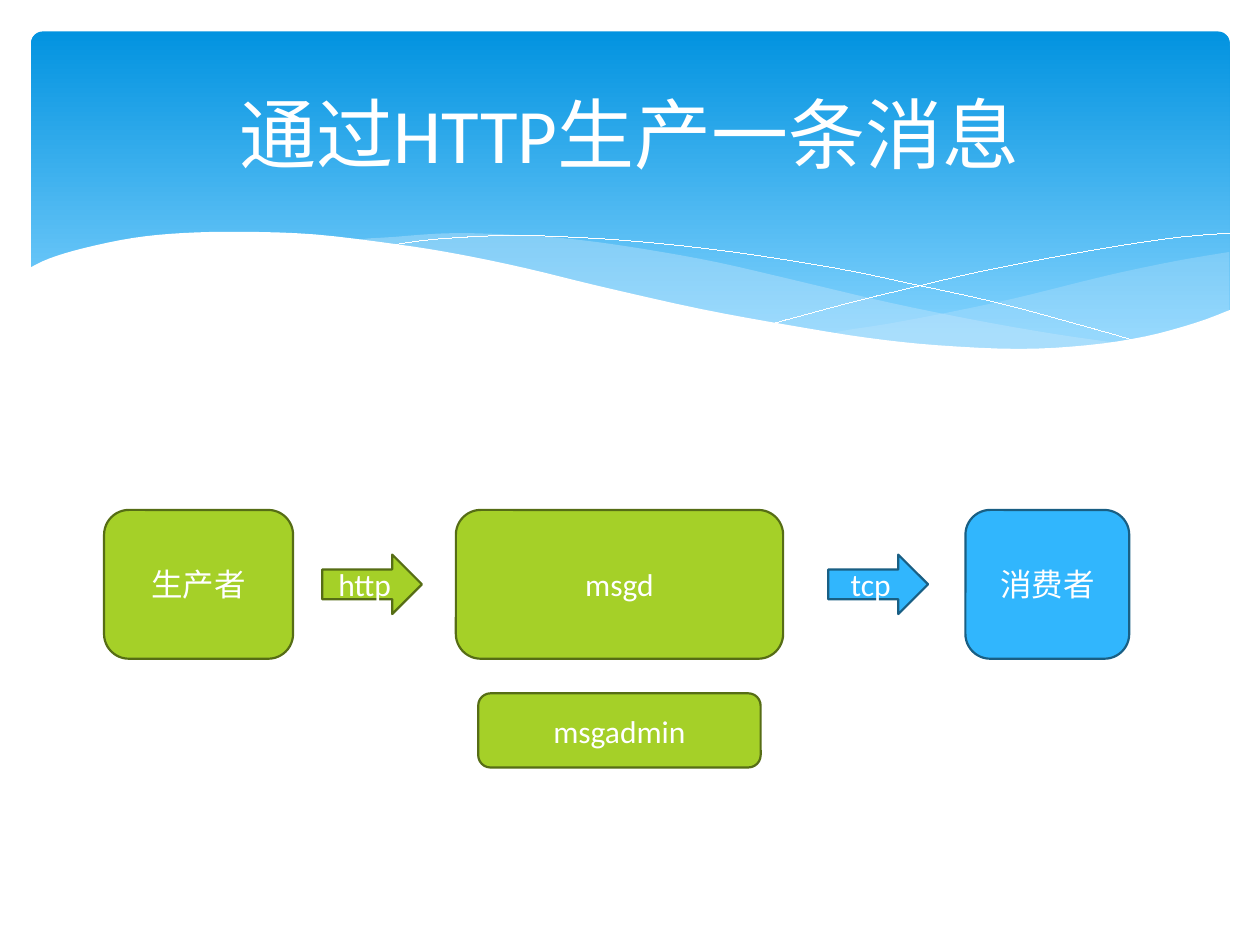
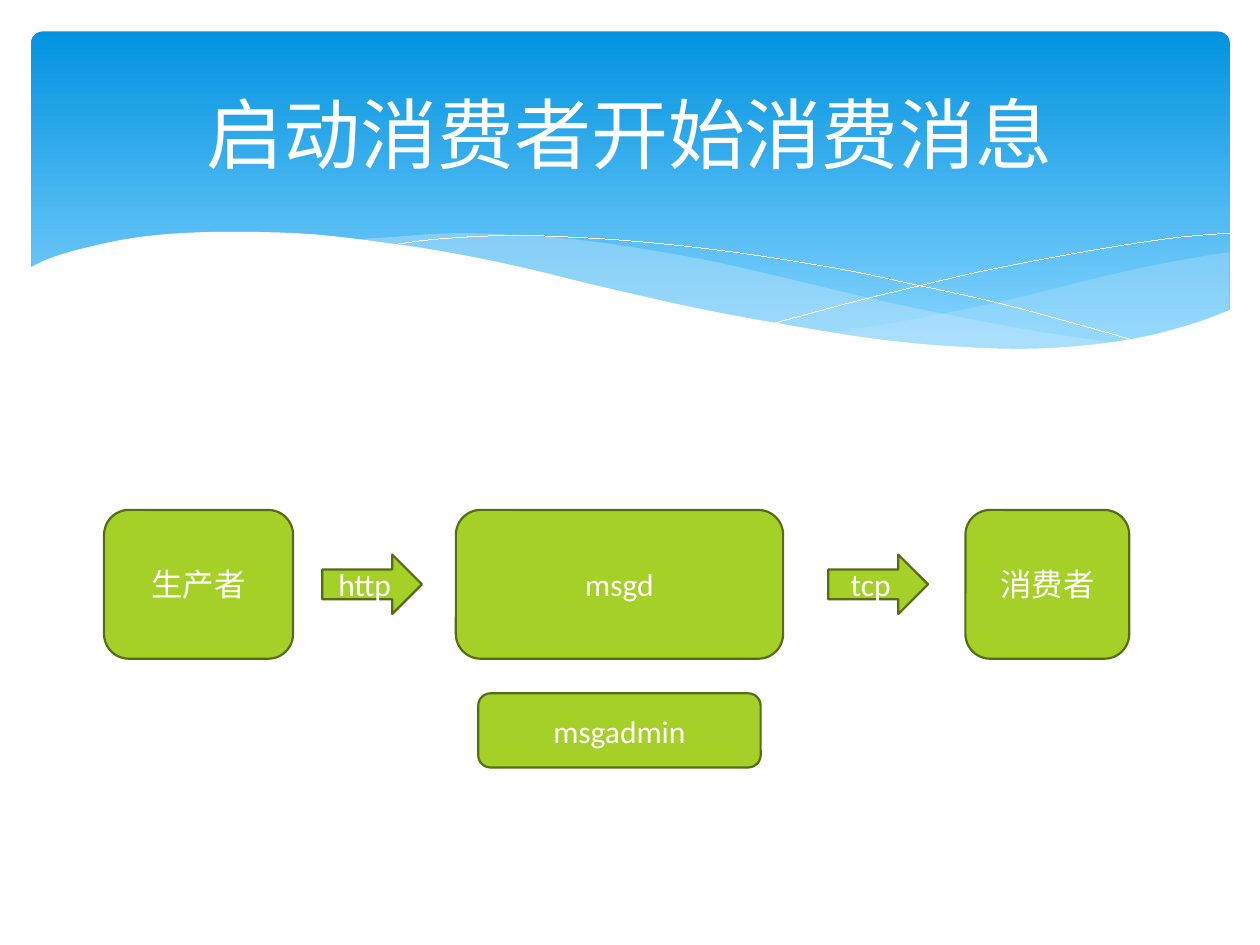
"""Builds two slides on how a message moves from producer to consumer."""
from lxml import etree
from pptx import Presentation
from pptx import util as u
from pptx.dml.color import RGBColor
from pptx.enum import shapes, text
from pptx.oxml.ns import qn

HUES = {
    "white": "FFFFFF",
    "deep": "0293E0",
    "pale": "83D3FE",
    "mist": "C6E7FC",
    "green": "A5D028",
    "moss": "566D15",
    "blue": "31B6FD",
    "navy": "195F84",
}
SKINS = {"on": ("green", "moss"), "off": ("blue", "navy")}
FONT = "Calibri"
ROUND = shapes.MSO_SHAPE.ROUNDED_RECTANGLE
ARROW = shapes.MSO_SHAPE.RIGHT_ARROW

BAND = (17.8, 18, 684.9, 194.4)
TITLE = (36, 26.6, 648, 98.6)
FLOW = (59.5, 291.4, 585.9, 147)

RIGHT = [
    (684.7, 126), (655, 131), (623.5, 137.5), (602, 142.6), (561.6, 152.6),
    (524, 160.6), (490, 167), (458, 172.8), (489.6, 177), (518.4, 180),
    (544, 181.4), (568, 182), (597, 180.7), (622, 177.8), (645, 172.8),
    (665, 167), (684.7, 159.8),
]
MIDDLE = [
    (625, 178.6), (584.6, 172.8), (540, 165), (490, 154.8), (435, 141.8),
    (391.7, 131.8), (352, 124.6), (316.8, 119.5), (284.4, 116.6),
    (242, 115.2), (207.4, 117.4), (188, 119.5), (228, 125.3), (273, 134),
    (305.3, 141.8), (363.6, 154.8), (414.7, 165.6), (460.8, 173.5),
    (501.8, 179), (538.6, 181.4), (571, 182), (599, 181.4), (625, 178.6),
]
FALL = [
    (204.5, 122.4), (229.7, 118.8), (270.7, 116.6), (306, 117.4),
    (349, 120.2), (401, 126), (460.8, 135.4), (505.4, 144.7),
    (554.4, 155.5), (607.7, 170), (635, 177.8),
]
RISE = [
    (423.4, 167), (465.8, 155.5), (500.4, 147), (540.7, 137.5),
    (584, 129), (626.4, 121.7), (657.4, 117.4), (684.7, 115.2),
]
FRONT = [
    (685.4, 159), (666, 166.3), (637, 174.2), (603.4, 179.3),
    (564.5, 181.4), (517.7, 179.3), (477.4, 175), (432.7, 167.8),
    (381.6, 158.4), (324, 145.4), (283, 135.4), (244.8, 127.4),
    (209.5, 121.7), (162, 116), (121, 114.5), (87, 115.2), (58.3, 118),
    (30.2, 123.8), (10.8, 129.6), (-1.4, 135.4),
]


def tint(name):
    """Return the colour with the given name."""
    return RGBColor.from_string(HUES[name])


def place(box, x, y, w, h):
    """Return a part's lengths, offset from the corner of its box."""
    return [u.Pt(v) for v in (box[0] + x, box[1] + y, w, h)]


def write(shape, words, size):
    """Put centred white text in a shape."""
    frame = shape.text_frame
    frame.word_wrap = True
    frame.vertical_anchor = text.MSO_ANCHOR.MIDDLE
    para = frame.paragraphs[0]
    para.text = words
    para.alignment = text.PP_ALIGN.CENTER
    for run in para.runs:
        run.font.name = FONT
        run.font.size = u.Pt(size)
        run.font.color.rgb = tint("white")


def smooth(knots, steps=4):
    """Return points on a Catmull-Rom curve through the knots."""
    ends = [knots[0], *knots, knots[-1]]
    dots = [knots[0]]
    for a, b, c, d in zip(ends, ends[1:], ends[2:], ends[3:]):
        for step in range(1, steps + 1):
            t = step / steps
            dots.append(tuple(
                (2 * q + (r - p) * t + (2 * p - 5 * q + 4 * r - s) * t ** 2
                 + (3 * q - p - 3 * r + s) * t ** 3) / 2
                for p, q, r, s in zip(a, b, c, d)))
    return dots


def trace(slide, box, dots, close):
    """Draw an outline through dots measured from the box corner."""
    spots = [(u.Pt(box[0] + x), u.Pt(box[1] + y)) for x, y in dots]
    pen = slide.shapes.build_freeform(*spots[0], scale=1.0)
    pen.add_line_segments(spots[1:], close=close)
    shape = pen.convert_to_shape()
    shape.shadow.inherit = False
    return shape


def wave(slide, box, dots, hue, alpha=100):
    """Draw a filled wave without an outline."""
    shape = trace(slide, box, dots, True)
    shape.fill.solid()
    shape.fill.fore_color.rgb = tint(hue)
    shape.line.fill.background()
    if alpha < 100:
        color = shape.fill._xPr.find(".//" + qn("a:srgbClr"))
        etree.SubElement(color, qn("a:alpha"), val=str(alpha * 1000))


def thread(slide, box, knots):
    """Draw a white hairline curve."""
    shape = trace(slide, box, smooth(knots), False)
    shape.fill.background()
    shape.line.color.rgb = tint("white")
    shape.line.width = u.Pt(0.01)


def band(slide, box):
    """Draw the blue header band with its waves."""
    panel = slide.shapes.add_shape(ROUND, *place(box, 0, 0, *box[2:]))
    panel.adjustments[0] = 0.034
    panel.shadow.inherit = False
    panel.line.fill.background()
    panel.fill.gradient()
    panel.fill.gradient_angle = 270
    stops = zip(panel.fill.gradient_stops, ("deep", "pale"), (0, 0.9))
    for stop, hue, spot in stops:
        stop.color.rgb = tint(hue)
        stop.position = spot
    wave(slide, box, smooth(RIGHT), "mist", 29)
    wave(slide, box, smooth(MIDDLE), "mist", 40)
    thread(slide, box, FALL)
    thread(slide, box, RISE)
    floor = [(-1.4, 219), (685.4, 219)]
    wave(slide, box, smooth(FRONT) + floor, "white")


def title(slide, box, words):
    """Write the slide title."""
    write(slide.shapes.add_textbox(*place(box, 0, 0, *box[2:])), words, 44)


def node(slide, box, kind, spot, words, skin):
    """Draw one labelled part of the flow."""
    shape = slide.shapes.add_shape(kind, *place(box, *spot))
    fill, edge = SKINS[skin]
    shape.shadow.inherit = False
    shape.fill.solid()
    shape.fill.fore_color.rgb = tint(fill)
    shape.line.color.rgb = tint(edge)
    shape.line.width = u.Pt(1.25)
    write(shape, words, 18)


def flow(slide, box, skin):
    """Draw the message flow, with the consumer side in the given skin."""
    tall, thin = 85, 34
    mid = (tall - thin) / 2
    parts = [
        (ROUND, (0, 0, 108, tall), "生产者", "on"),
        (ROUND, (201, 0, 187, tall), "msgd", "on"),
        (ROUND, (492.2, 0, 93.6, tall), "消费者", skin),
        (ARROW, (124.6, mid, 57, thin), "http", "on"),
        (ARROW, (413.8, mid, 57, thin), "tcp", skin),
        (ROUND, (213.8, 104.8, 161.4, 42.4), "msgadmin", "on"),
    ]
    for part in parts:
        node(slide, box, *part)


def main():
    """Build and save the deck."""
    deck = Presentation()
    deck.slide_width, deck.slide_height = u.Pt(720), u.Pt(540)
    pages = [("通过HTTP生产一条消息", "off"), ("启动消费者开始消费消息", "on")]
    for words, skin in pages:
        slide = deck.slides.add_slide(deck.slide_layouts[6])
        band(slide, BAND)
        title(slide, TITLE, words)
        flow(slide, FLOW, skin)
    deck.save("out.pptx")


if __name__ == "__main__":
    main()
